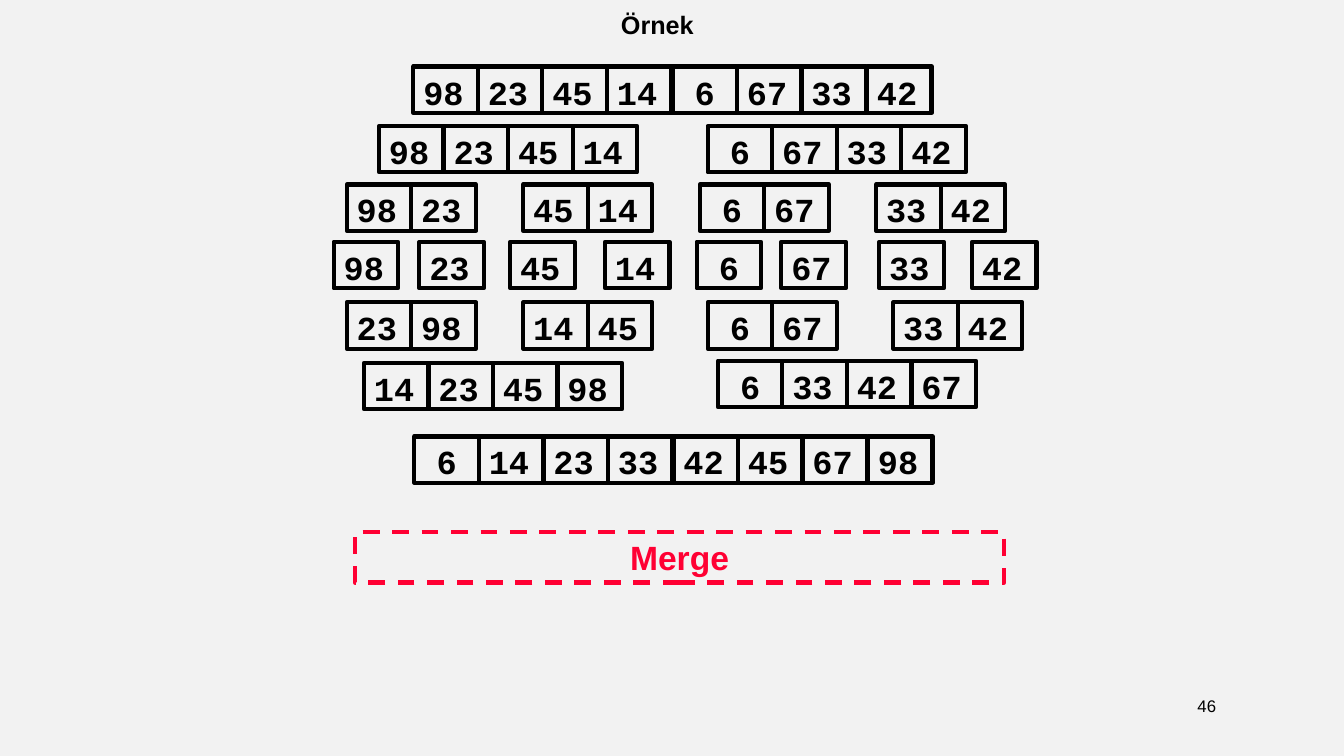
from pptx import Presentation
from pptx.dml.color import RGBColor
from pptx.enum.dml import MSO_LINE
from pptx.enum.shapes import MSO_SHAPE
from pptx.enum.text import MSO_ANCHOR, MSO_AUTO_SIZE, PP_ALIGN
from pptx.util import Emu, Pt

RECTANGLE, ELLIPSE = MSO_SHAPE.RECTANGLE, MSO_SHAPE.OVAL
DASH = MSO_LINE.DASH
TOP, MIDDLE = MSO_ANCHOR.TOP, MSO_ANCHOR.MIDDLE
FIT_SHAPE = MSO_AUTO_SIZE.SHAPE_TO_FIT_TEXT
LEFT, CENTER = PP_ALIGN.LEFT, PP_ALIGN.CENTER

EMU_PER_PX = 9144
SLIDE_SIZE = (1333, 750)
CELL_WIDTH, CELL_HEIGHT = 64, 46
EIGHT_CELL_SPAN = 450

ARRAYS = [
    (66, [(410, "98 23 45 14 6 67 33 42")]),
    (125, [(376, "98 23 45 14"), (702, "6 67 33 42")]),
    (183, [(344, "98 23"), (519, "45 14"), (694, "6 67"), (869, "33 42")]),
    (240, [(331, "98"), (416, "23"), (506, "45"), (600, "14"),
           (691, "6"), (775, "67"), (872, "33"), (964, "42")]),
    (300, [(344, "23 98"), (519, "14 45"), (702, "6 67"), (886, "33 42")]),
    (360, [(361, "14 23 45 98")]),
    (358, [(712, "6 33 42 67")]),
    (433, [(411, "6 14 23 33 42 45 67 98")]),
]


def px(length):
    """Turn whole pixels into EMU."""
    return Emu(length * EMU_PER_PX)


def color(value):
    """Turn a hex string into a colour."""
    return RGBColor.from_string(value)


class MergeSortSlide:
    """Hold the style and the current slide."""

    ink, accent, background = "000000", "FF0033", "F2F2F2"
    text_font, number_font = "Arial", "Courier New"
    line_width = 3

    def __init__(self, presentation):
        """Add a blank slide with the plain background."""
        self.slide = presentation.slides.add_slide(presentation.slide_layouts[6])
        fill = self.slide.background.fill
        fill.solid()
        fill.fore_color.rgb = color(self.background)

    def set_text(self, shape, text, size, font, ink, bold=True, align=CENTER, wrap=True):
        """Put one formatted paragraph into a shape."""
        frame = shape.text_frame
        frame.text = text
        frame.word_wrap = wrap
        frame.vertical_anchor = TOP
        paragraph = frame.paragraphs[0]
        paragraph.alignment = align
        for run in paragraph.runs:
            run.font.name = font
            run.font.size = Pt(size)
            run.font.bold = bold
            run.font.color.rgb = color(ink)
        return frame

    def outline(self, kind, box, ink=None):
        """Add an unfilled shape, with a line if a colour is given."""
        shape = self.slide.shapes.add_shape(kind, *map(px, box))
        shape.shadow.inherit = False
        shape.fill.background()
        if ink:
            shape.line.color.rgb = color(ink)
            shape.line.width = Pt(self.line_width)
        else:
            shape.line.fill.background()
        return shape

    def title(self, text, box):
        """Add the slide title."""
        shape = self.slide.shapes.add_textbox(*map(px, box))
        frame = self.set_text(shape, text, 18, self.text_font, self.ink, wrap=False)
        frame.auto_size = FIT_SHAPE

    def array(self, left, top, numbers):
        """Add a row of adjoining number cells."""
        for index, number in enumerate(numbers.split()):
            cell_left = left + index * EIGHT_CELL_SPAN // 7
            shape = self.outline(RECTANGLE, (cell_left, top, CELL_WIDTH, CELL_HEIGHT), self.ink)
            align = CENTER if len(number) == 1 else LEFT
            self.set_text(shape, number, 24, self.number_font, self.ink, align=align, wrap=False)

    def step_label(self, text, box):
        """Add the dashed label of the current step."""
        shape = self.outline(RECTANGLE, box, self.accent)
        shape.line.dash_style = DASH
        frame = self.set_text(shape, text, 24, self.text_font, self.accent)
        frame.auto_size = FIT_SHAPE

    def page_number(self, text, box):
        """Add the page number."""
        shape = self.outline(ELLIPSE, box)
        frame = self.set_text(shape, text, 12, self.text_font, self.ink, bold=False)
        frame.vertical_anchor = MIDDLE
        frame.margin_left = frame.margin_right = px(2)


def main():
    """Build and save the merge sort slide."""
    presentation = Presentation()
    presentation.slide_width, presentation.slide_height = map(px, SLIDE_SIZE)
    slide = MergeSortSlide(presentation)
    slide.page_number("46", (1177, 680, 40, 40))
    for top, groups in ARRAYS:
        for left, numbers in groups:
            slide.array(left, top, numbers)
    slide.step_label("Merge", (352, 528, 644, 50))
    slide.title("Örnek", (606, 4, 92, 40))
    presentation.save("out.pptx")


if __name__ == "__main__":
    main()
